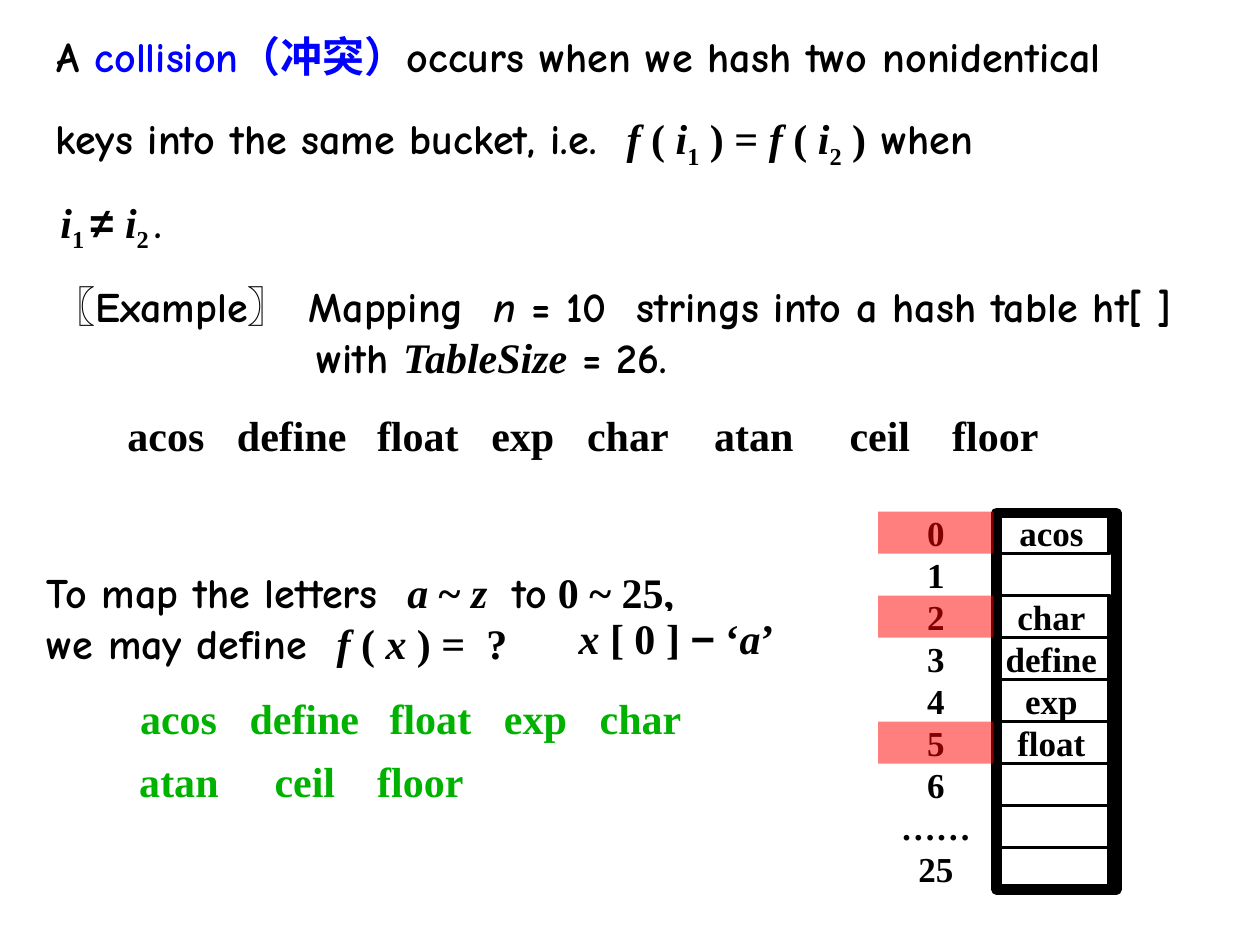
from dataclasses import dataclass

from lxml.etree import SubElement
from pptx import Presentation
from pptx.dml.color import RGBColor
from pptx.enum.shapes import MSO_SHAPE
from pptx.enum.text import MSO_ANCHOR, MSO_AUTO_SIZE, PP_ALIGN
from pptx.oxml.ns import qn
from pptx.util import Inches, Pt


@dataclass(frozen=True)
class Theme:
    """Fonts, colours and type sizes of the slide."""
    prose: str = "Comic Neue"
    maths: str = "Times New Roman"
    symbol: str = "Arial"
    ink: str = "000000"
    paper: str = "FFFFFF"
    term: str = "0000FF"
    mapped: str = "00B200"
    clash: str = "FF0000"
    lead: int = 40
    body: int = 24
    cell: int = 20
    gap: int = 15
    rule: int = 2
    frame: int = 6


@dataclass(frozen=True)
class Box:
    """A rectangle in inches."""
    left: float
    top: float
    width: float
    height: float

    def slot(self, column, row, columns, rows=4):
        """Return the box at a grid position, counted in steps."""
        return Box(self.left + column * STEP, self.top + row * STEP,
                   columns * STEP, rows * STEP)

    def lengths(self):
        """Return the four sides as slide lengths."""
        return [Inches(side) for side in (self.left, self.top, self.width, self.height)]


THEME = Theme()
STEP = 1 / 12
WORDS = [("acos", 0, 10), ("define", 11, 12), ("float", 23, 12), ("exp", 33, 12),
         ("char", 43, 12), ("atan", 55, 12), ("ceil", 67, 12), ("floor", 78, 12)]
LABELS = ["0", "1", "2", "3", "4", "5", "6", "……", "25"]
ENTRIES = {0: "acos", 2: "char", 3: "define", 4: "exp", 5: "float"}
CLASHES = (0, 2, 5)
OPEN_ROW = 1


def prose(text, **style):
    """Return a span of running text."""
    return text, {"font": THEME.prose, **style}


def maths(text, **style):
    """Return a span of upright mathematics."""
    return text, {"font": THEME.maths, **style}


def variable(text):
    """Return a span of italic mathematics."""
    return maths(text, italic=True)


def subscript(text):
    """Return a span of lowered mathematics."""
    return maths(text, baseline=-25000)


def symbol(text):
    """Return a span in the symbol font."""
    return text, {"font": THEME.symbol}


def add_span(para, text, font, size=THEME.body, color=THEME.ink, italic=False, baseline=0):
    """Append one bold formatted run."""
    span = para.add_run()
    span.text = text
    span.font.name, span.font.size = font, Pt(size)
    span.font.bold, span.font.italic = True, italic
    span.font.color.rgb = RGBColor.from_string(color)
    if baseline:
        span.font._element.set("baseline", str(baseline))


def write(shape, paragraphs, hang=0, starts=None, align=PP_ALIGN.LEFT,
          wrap=True, side=0.1):
    """Fill a shape with paragraphs of spans."""
    frame = shape.text_frame
    frame.word_wrap = wrap
    frame.auto_size = MSO_AUTO_SIZE.SHAPE_TO_FIT_TEXT if wrap else MSO_AUTO_SIZE.NONE
    frame.vertical_anchor = MSO_ANCHOR.TOP if wrap else MSO_ANCHOR.MIDDLE
    frame.margin_left = frame.margin_right = Inches(side)
    frame.margin_top = frame.margin_bottom = Inches(0.05)
    for index, spans in enumerate(paragraphs):
        para = frame.add_paragraph() if index else frame.paragraphs[0]
        para.alignment = align
        para.space_before = Pt(THEME.gap if index else 0)
        start = starts[index] if starts else 0
        properties = para._p.get_or_add_pPr()
        properties.set("marL", str(Inches(hang)))
        properties.set("indent", str(Inches(start - hang)))
        for text, style in spans:
            add_span(para, text, **style)


def add_text(page, box, paragraphs, **layout):
    """Add a text box."""
    write(page.shapes.add_textbox(*box.lengths()), paragraphs, **layout)


def add_word(page, box, text, **style):
    """Add one centred word."""
    add_text(page, box, [[maths(text, **style)]], align=PP_ALIGN.CENTER, wrap=False)


def add_rectangle(page, box, fill=None, alpha=None, line=None):
    """Add a rectangle with optional fill, opacity and outline."""
    shape = page.shapes.add_shape(MSO_SHAPE.RECTANGLE, *box.lengths())
    shape.shadow.inherit = False
    if fill:
        shape.fill.solid()
        shape.fill.fore_color.rgb = RGBColor.from_string(fill)
        if alpha:
            color = shape.fill._xPr.find(".//" + qn("a:srgbClr"))
            SubElement(color, qn("a:alpha"), val=str(alpha * 1000))
    else:
        shape.fill.background()
    if line:
        shape.line.color.rgb = RGBColor.from_string(THEME.ink)
        shape.line.width = Pt(line)
    else:
        shape.line.fill.background()
    return shape


def add_definition(page, box):
    """State what a collision is."""
    add_text(page, box, [
        [maths(" ", size=THEME.lead), prose("A "),
         prose("collision（冲突）", color=THEME.term),
         prose("occurs when we hash two nonidentical")],
        [prose("keys into the same bucket, i.e.  "), variable("f"), maths(" ( "),
         variable("i"), subscript("1"), maths(" ) = "), variable("f"), maths(" ( "),
         variable("i"), subscript("2"), maths(" )"), prose(" when")],
        [variable("i"), subscript("1 "), symbol("≠ "), variable("i"),
         subscript("2 "), prose(".")],
    ], hang=0.72, starts=(0, 0.13, 0.17), side=0)


def add_example(page, box):
    """Introduce the example."""
    add_text(page, box, [[
        prose("〖Example〗  Mapping  "), prose("n", italic=True),
        prose(" = 10  strings into a hash table ht[ ] with "),
        variable("TableSize"), prose(" = 26.")]], hang=2.08)


def add_words(page, box, words, color):
    """Set a row of words from the left edge of the box."""
    origin = words[0][1]
    for text, column, columns in words:
        add_word(page, box.slot(column - origin, 0, columns), text, color=color)


def add_question(page, box):
    """Ask for the hash function and give its answer."""
    add_text(page, box, [[
        prose("To map the letters  "), variable("a"), maths(" ~ "), variable("z "),
        prose(" to"), maths(" 0 ~ 25, "), prose("we may define  "), variable("f"),
        maths(" ( "), variable("x"), maths(" ) =  ?")]])
    answer = add_rectangle(page, Box(box.left + 4.14, box.top + 0.4, 2.08, 0.42), THEME.paper)
    write(answer, [[variable(" x"), maths(" [ 0 ] "), symbol("−"), maths(" ‘"),
                    variable("a"), maths("’")]], wrap=False)


def add_hash_table(page, box):
    """Draw the numbered buckets, their entries and the clashes."""
    for index, label in enumerate(LABELS):
        add_word(page, box.slot(0, 4 * index, 11), label, size=THEME.cell)
        if index != OPEN_ROW:
            add_rectangle(page, box.slot(11, 4 * index, 11), line=THEME.rule)
    add_rectangle(page, Box(box.left + 0.94, box.top + 0.01, 0.95, 2.99), line=THEME.frame)
    for index, entry in ENTRIES.items():
        cell = add_rectangle(page, box.slot(11, 4 * index, 11), line=THEME.rule)
        write(cell, [[maths(entry, size=THEME.cell)]], align=PP_ALIGN.CENTER, wrap=False)
    for index in CLASHES:
        add_rectangle(page, box.slot(0, 4 * index, 11), THEME.clash, alpha=50)


def main():
    """Build and save the deck."""
    deck = Presentation()
    deck.slide_width, deck.slide_height = Inches(10), Inches(7.5)
    page = deck.slides.add_slide(deck.slide_layouts[6])
    add_definition(page, Box(0.31, -0.03, 9.33, 2.1))
    add_example(page, Box(0.33, 2.18, 9.08, 0.9))
    add_words(page, Box(0.9, 3.28, 7.5, 0.33), WORDS, THEME.ink)
    add_question(page, Box(0.27, 4.45, 5.25, 0.9))
    add_words(page, Box(1, 5.53, 4.58, 0.33), WORDS[:5], THEME.mapped)
    add_words(page, Box(0.92, 6.03, 2.92, 0.33), WORDS[5:], THEME.mapped)
    add_hash_table(page, Box(6.97, 4.06, 1.89, 3))
    deck.save("out.pptx")


if __name__ == "__main__":
    main()
